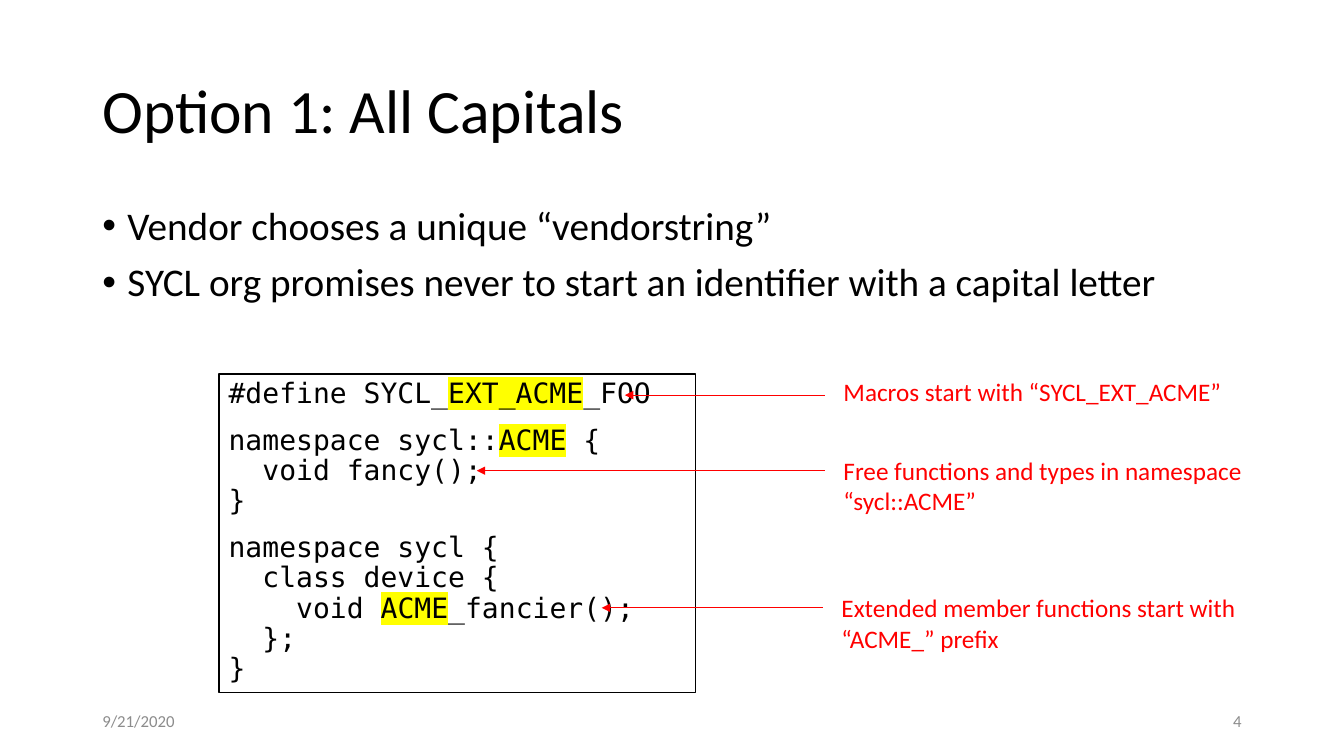
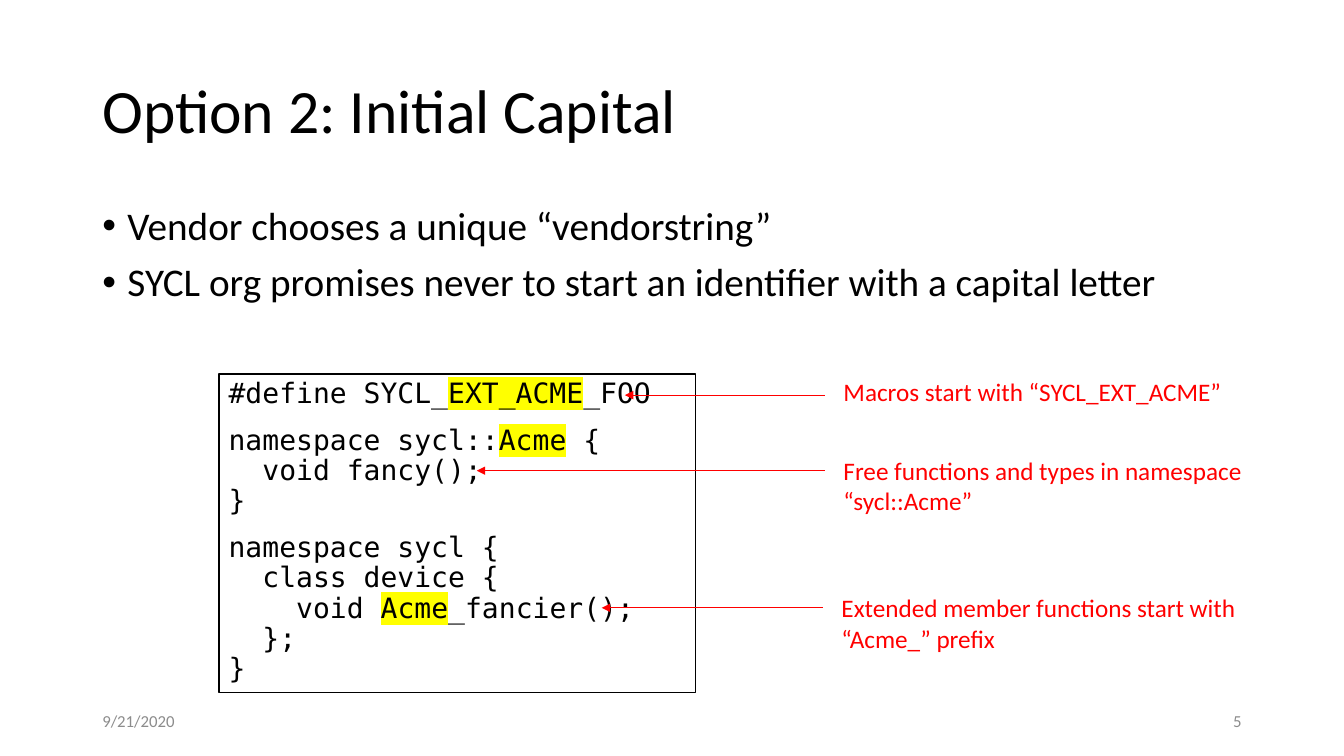
import pptx
import pptx.util
import pptx.dml.color
import pptx.enum.shapes
import pptx.enum.text
import pptx.oxml.ns
import lxml.etree

Pt = pptx.util.Pt
qn = pptx.oxml.ns.qn
ANCHOR = pptx.enum.text.MSO_ANCHOR
ALIGN = pptx.enum.text.PP_ALIGN
AUTO = pptx.enum.text.MSO_AUTO_SIZE


class Theme:
    ink, note, footer, mark = "000000", "FF0000", "8C8C8C", "FFFF00"
    sans, mono = "Calibri", "DejaVu Sans Mono"
    title_size, body_size, code_size, note_size, footer_size = 44, 28, 20, 18, 12
    left, width = 66, 828
    bullet_indent = 18
    line_spacing = 0.9


def rgb(value):
    return pptx.dml.color.RGBColor.from_string(value)


def sub(parent, tag, **attrs):
    return lxml.etree.SubElement(parent, qn(tag), attrs)


def apply(target, formats):
    for name, value in formats.items():
        setattr(target, name, value)


class Deck:
    def __init__(self, theme):
        self.theme = theme
        self.prs = pptx.Presentation()
        apply(self.prs, {"slide_width": Pt(960), "slide_height": Pt(540)})
        self.s = None

    def add_slide(self):
        self.s = self.prs.slides.add_slide(self.prs.slide_layouts[6])

    # Text: parts between bars are highlighted
    def add_runs(self, p, text, size, color, font):
        for i, part in enumerate(text.split("|")):
            r = p.add_run()
            r.text = part
            apply(r.font, {"size": Pt(size), "name": font})
            r.font.color.rgb = rgb(color)
            if i % 2:
                rPr = r._r.get_or_add_rPr()
                mark = sub(rPr, "a:highlight")
                sub(mark, "a:srgbClr", val=self.theme.mark)
                rPr.find(qn("a:solidFill")).addnext(mark)

    def fill_text(self, sp, lines, size, color, font, frame=None, para=None, before=None):
        tf = sp.text_frame
        apply(tf, {"word_wrap": True, "vertical_anchor": ANCHOR.TOP, **(frame or {})})
        for i, line in enumerate(lines):
            p = tf.add_paragraph() if i else tf.paragraphs[0]
            apply(p, {"alignment": ALIGN.LEFT, **(para or {})})
            if before:
                p.space_before = Pt(before[i])
            self.add_runs(p, line, size, color, font)
        return tf

    def text(self, box, lines, size, color, **formats):
        sp = self.s.shapes.add_textbox(*map(Pt, box))
        return self.fill_text(sp, lines, size, color, self.theme.sans, **formats)

    def title(self, text):
        t = self.theme
        self.text((t.left, 28.8, t.width, 104.4), [text], t.title_size, t.ink,
                  frame={"vertical_anchor": ANCHOR.MIDDLE},
                  para={"line_spacing": t.line_spacing})

    def bullets(self, lines):
        t = self.theme
        tf = self.text((t.left, 144, t.width, 342.72), lines, t.body_size, t.ink,
                       para={"line_spacing": t.line_spacing, "space_before": Pt(10)})
        indent = Pt(t.bullet_indent)
        for p in tf.paragraphs:
            pPr = p._p.get_or_add_pPr()
            pPr.set("marL", str(indent))
            pPr.set("indent", str(-indent))
            sub(pPr, "a:buFont", typeface="Arial")
            sub(pPr, "a:buChar", char="•")

    def footer(self, date, number):
        t = self.theme
        width = 216
        right = t.left + t.width - width
        for x, text, align in ((t.left, date, ALIGN.LEFT), (right, str(number), ALIGN.RIGHT)):
            self.text((x, 500.4, width, 28.8), [text], t.footer_size, t.footer,
                      frame={"vertical_anchor": ANCHOR.MIDDLE}, para={"alignment": align})

    def code(self, box, blocks):
        t = self.theme
        sp = self.s.shapes.add_shape(pptx.enum.shapes.MSO_SHAPE.RECTANGLE, *map(Pt, box))
        sp.shadow.inherit = False
        sp.fill.background()
        sp.line.color.rgb = rgb(t.ink)
        sp.line.width = Pt(1.25)
        lines = [line for block in blocks for line in block]
        before = [0 if i else 12 for block in blocks for i in range(len(block))]
        before[0] = 10
        self.fill_text(sp, lines, t.code_size, t.ink, t.mono, before=before,
                       frame={"auto_size": AUTO.SHAPE_TO_FIT_TEXT},
                       para={"line_spacing": t.line_spacing})

    def note(self, x, y, height, text):
        self.text((x, y, 309.6, height), [text], self.theme.note_size, self.theme.note,
                  frame={"auto_size": AUTO.SHAPE_TO_FIT_TEXT})

    def arrow(self, start, end, y):
        sp = self.s.shapes.add_connector(
            pptx.enum.shapes.MSO_CONNECTOR.STRAIGHT, Pt(start), Pt(y), Pt(end), Pt(y))
        sp.line.color.rgb = rgb(self.theme.note)
        sp.line.width = Pt(0.5)
        spPr = sp._element.spPr
        sub(spPr.find(qn("a:ln")), "a:tailEnd", type="triangle")
        sub(spPr, "a:effectLst")


# Slides: title and the vendor spelling it uses
OPTIONS = [
    ("Option 1: All Capitals", "ACME"),
    ("Option 2: Initial Capital", "Acme"),
]

deck = Deck(Theme)
for number, (title, vendor) in enumerate(OPTIONS, start=4):
    deck.add_slide()
    deck.title(title)
    deck.bullets([
        "Vendor chooses a unique “vendorstring”",
        "SYCL org promises never to start an identifier with a capital letter",
    ])
    deck.footer("9/21/2020", number)

    # Code sample
    deck.code((156.24, 267.12, 340.56, 227.52), [
        ["#define SYCL_|EXT_ACME|_FOO"],
        [f"namespace sycl::|{vendor}| {{", "  void fancy();", "}"],
        ["namespace sycl {", "  class device {", f"    void |{vendor}|_fancier();", "  };", "}"],
    ])

    # Notes: left, top, height, text, then arrow tip and arrow height
    for x, y, height, text, tip, arrow_y in (
        (595.44, 264.96, 28.8, "Macros start with “SYCL_EXT_ACME”", 446.4, 282.24),
        (595.44, 321.84, 51.12,
         f"Free functions and types in namespace “sycl::{vendor}”", 340.56, 336.24),
        (594, 419.76, 51.12,
         f"Extended member functions start with “{vendor}_” prefix", 429.84, 434.16),
    ):
        deck.note(x, y, height, text)
        deck.arrow(x - 6.2, tip, arrow_y)

deck.prs.save("out.pptx")
